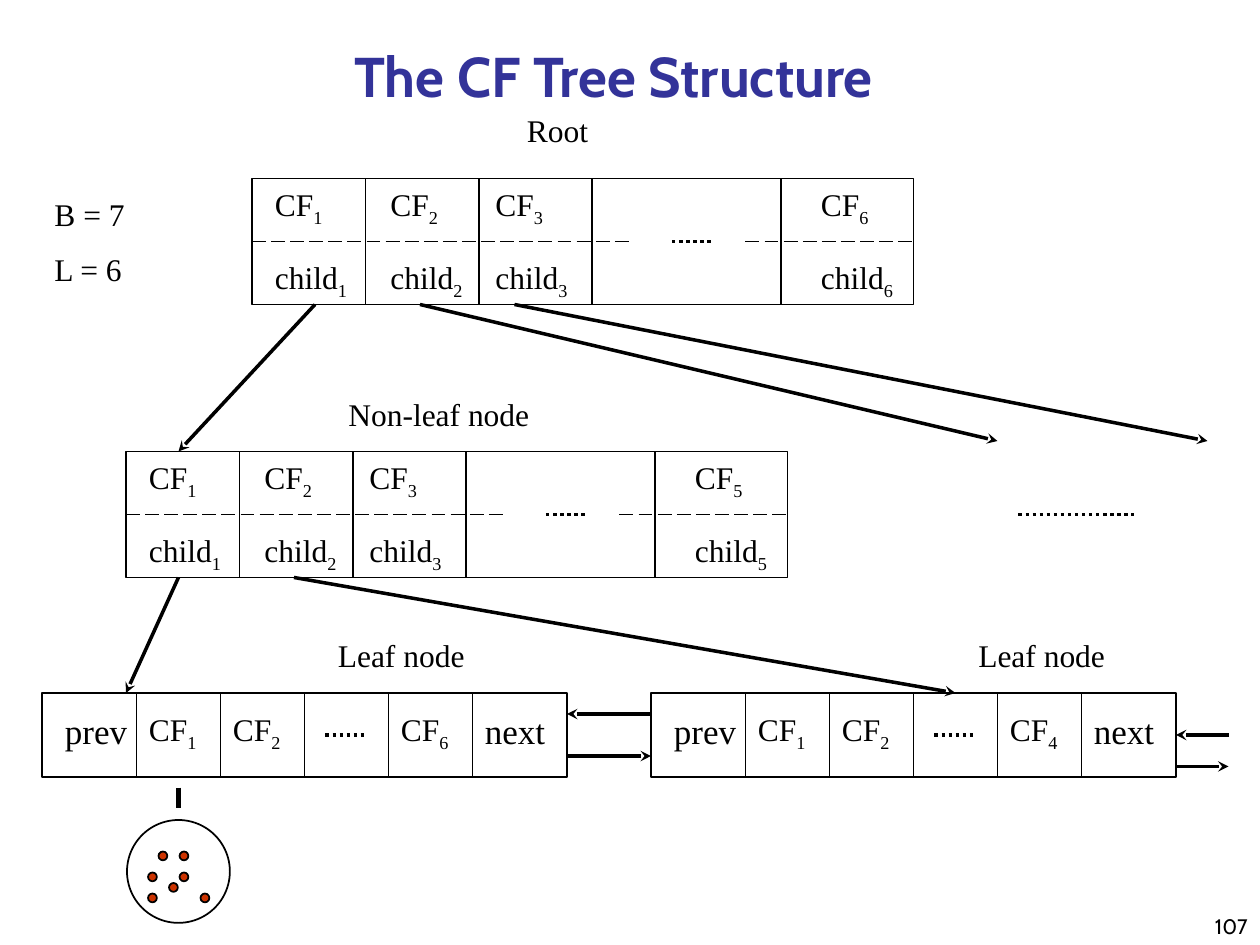
"""Build the CF tree slide on a grid of twelve units to the inch."""
from lxml.etree import SubElement
from pptx import Presentation
from pptx.dml.color import RGBColor
from pptx.enum.dml import MSO_LINE
from pptx.enum.shapes import MSO_CONNECTOR, MSO_SHAPE
from pptx.enum.text import MSO_ANCHOR, MSO_AUTO_SIZE, PP_ALIGN
from pptx.oxml.ns import qn
from pptx.util import Cm, Pt

COLORS = {"title": "333399", "ink": "000000", "point": "CC3300"}
BODY, HEADING = "Times New Roman", "Cabin"
TITLE = "The CF Tree Structure"

# left, top, indices of the entries
INNER_NODES = [(24, 17, "1236"), (12, 43, "1235")]
INNER_COLUMNS = [1, 12, 22, 53]
INNER_DIVIDERS = [10.8, 21.6, 32.4, 50.4]
INNER_DASHES = [(0, 36), (47, 63)]
LEAF_NODES = [(4, 66, "126"), (62, 66, "124")]
LEAF_COLUMNS = [9, 17, 33]
LEAF_DIVIDERS = range(9, 42, 8)
LEAF_LINKS = [("prev", 1), ("next", 41)]

# text, left, top, width, height
LABELS = [
    ("Root", 49, 10, 13, 6),
    ("Non-leaf node", 32, 37, 26, 6),
    ("Leaf node", 31, 60, 19, 6),
    ("Leaf node", 92, 60, 19, 6),
    ("B = 7\nL = 6", 4, 18, 14, 13),
]
ARROWS = [
    (30, 29, 17, 43), (40, 29, 95, 42), (49, 29, 115, 42),
    (17, 55, 12, 66), (28, 55, 91, 66),
    (62, 68, 54, 68), (54, 72, 62, 72), (112, 73, 117, 73),
]
POINTS = [(15, 81), (17, 83), (17, 81), (14, 85), (14, 83), (16, 84), (19, 85)]


def grid(*units):
    return [Cm(unit * 2.54 / 12) for unit in units]


def color(name):
    return RGBColor.from_string(COLORS[name])


def apply(target, values):
    for name, value in values.items():
        setattr(target, name, value)


def style_font(font, size, name=BODY, ink="ink", bold=False):
    apply(font, {"size": Pt(size), "name": name, "bold": bold})
    font.color.rgb = color(ink)


def add_line(page, ends, width=1, dash=None, arrow=False):
    line = page.shapes.add_connector(MSO_CONNECTOR.STRAIGHT, *grid(*ends))
    line.line.color.rgb = color("ink")
    apply(line.line, {"width": Pt(width), "dash_style": dash})
    if arrow:
        SubElement(line.line._get_or_add_ln(), qn("a:tailEnd"), type="stealth")
    SubElement(line._element.spPr, qn("a:effectLst"))
    return line


def add_outline(page, kind, place, fill=None):
    shape = page.shapes.add_shape(kind, *grid(*place))
    shape.shadow.inherit = False
    if fill:
        shape.fill.solid()
        shape.fill.fore_color.rgb = color(fill)
    else:
        shape.fill.background()
    shape.line.color.rgb = color("ink")
    shape.line.width = Pt(1)
    return shape


def add_text(page, text, place, size=18, index="", name=BODY, **layout):
    box = page.shapes.add_textbox(*grid(*place))
    frame = box.text_frame
    apply(frame, {"word_wrap": True, **layout})
    for number, words in enumerate(text.split("\n")):
        para = frame.add_paragraph() if number else frame.paragraphs[0]
        if number:
            para.space_before = Pt(10)
        for part in filter(None, (words, index)):
            span = para.add_run()
            span.text = part
            style_font(span.font, size, name)
            if part == index:
                span._r.get_or_add_rPr().set("baseline", "-25000")
    return box


def add_inner_node(page, left, top, indices):
    middle = top + 6
    add_outline(page, MSO_SHAPE.RECTANGLE, (left, top, 63, 12))
    for x in INNER_DIVIDERS:
        add_line(page, (left + x, top, left + x, top + 12))
    for start, end in INNER_DASHES:
        add_line(page, (left + start, middle, left + end, middle), dash=MSO_LINE.LONG_DASH)
    add_dots(page, left + 40, left + 44, middle)
    for x, index in zip(INNER_COLUMNS, indices):
        add_text(page, "CF", (left + x, top, 9, 6), index=index)
        add_text(page, "child", (left + x, top + 7, 12, 5), index=index)


def add_leaf_node(page, left, top, indices):
    leaf = add_outline(page, MSO_SHAPE.RECTANGLE, (left, top, 50, 8))
    for x in LEAF_DIVIDERS:
        add_line(page, (left + x, top, left + x, top + 8))
    for x, index in zip(LEAF_COLUMNS, indices):
        add_text(page, "CF", (left + x, top + 1, 9, 6), index=index)
    for word, x in LEAF_LINKS:
        add_text(page, word, (left + x, top + 1, 9, 5), size=20)
    add_dots(page, left + 27, left + 31, top + 4)
    return leaf


def add_dots(page, start, end, y):
    add_line(page, (start, y, end, y), width=2, dash=MSO_LINE.ROUND_DOT)


def add_title(page):
    title = page.shapes.title
    places = grid(8.9, 3, 99.1, 8)
    apply(title, dict(zip(("left", "top", "width", "height"), places)))
    frame = title.text_frame
    frame.text = TITLE
    apply(frame, {"vertical_anchor": MSO_ANCHOR.BOTTOM, "auto_size": MSO_AUTO_SIZE.NONE})
    para = frame.paragraphs[0]
    para.alignment = PP_ALIGN.CENTER
    style_font(para.runs[0].font, 32, HEADING, "title", True)


def main():
    deck = Presentation()
    apply(deck, {"slide_width": Cm(25.4), "slide_height": Cm(19.05)})
    page = deck.slides.add_slide(deck.slide_layouts[5])
    add_title(page)
    for node in INNER_NODES:
        add_inner_node(page, *node)
    leaves = [add_leaf_node(page, *node) for node in LEAF_NODES]
    for ends in ARROWS:
        add_line(page, ends, width=2, arrow=True)
    incoming = add_line(page, (117, 70, 112, 70), width=2, arrow=True)
    incoming.end_connect(leaves[-1], 3)
    add_dots(page, 97, 108, 49)
    for text, *place in LABELS:
        add_text(page, text, place)
    for x, y in POINTS:
        add_outline(page, MSO_SHAPE.OVAL, (x + 0.1, y + 0.1, 0.84, 0.84), "point")
    add_outline(page, MSO_SHAPE.OVAL, (12.1, 78.1, 9.8, 9.8))
    add_line(page, (17, 75, 17, 77), width=3)
    number = add_text(page, "107", (95, 85, 25, 5), 12, name=HEADING,
                      vertical_anchor=MSO_ANCHOR.BOTTOM)
    number.text_frame.paragraphs[0].alignment = PP_ALIGN.RIGHT
    deck.save("out.pptx")


if __name__ == "__main__":
    main()
